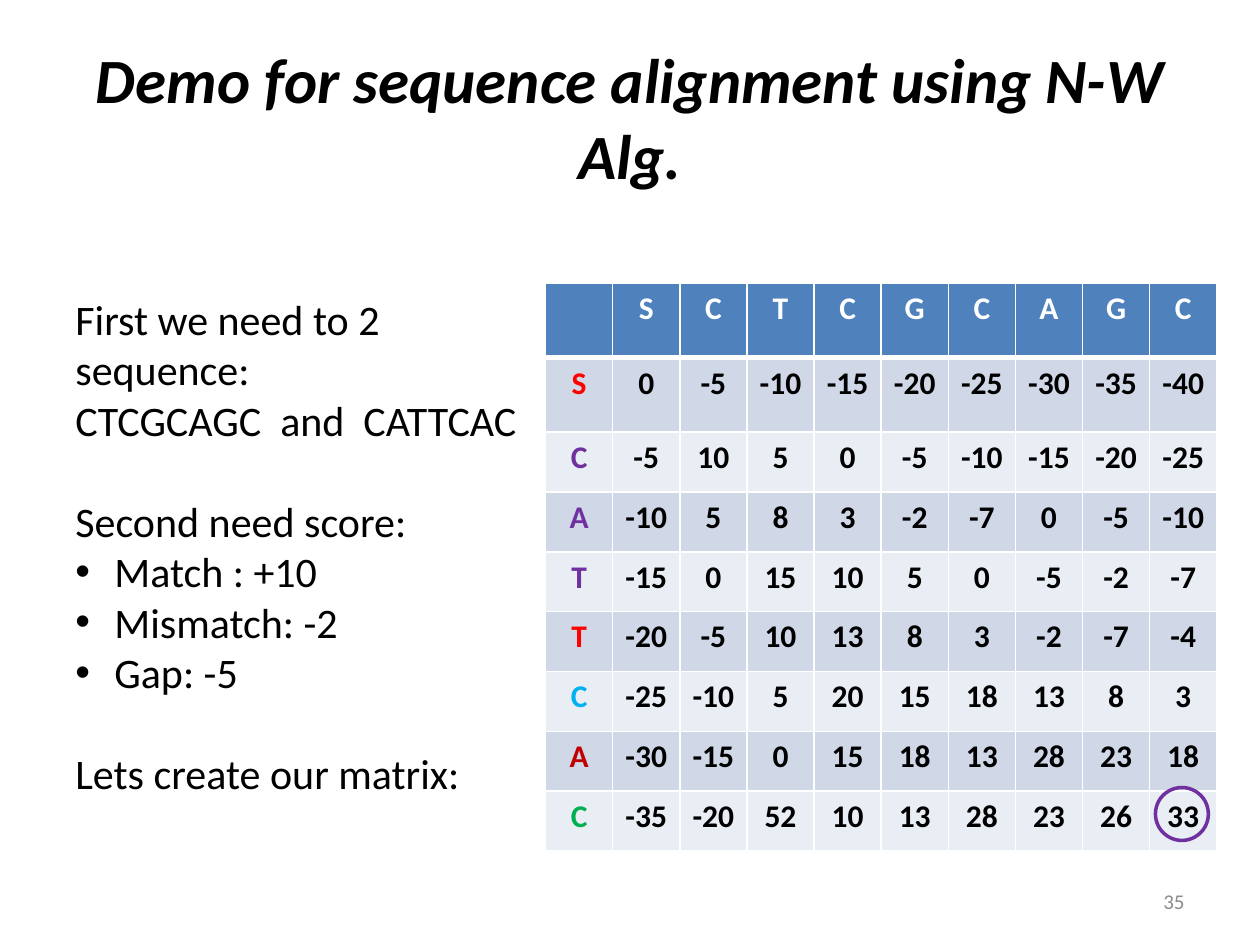
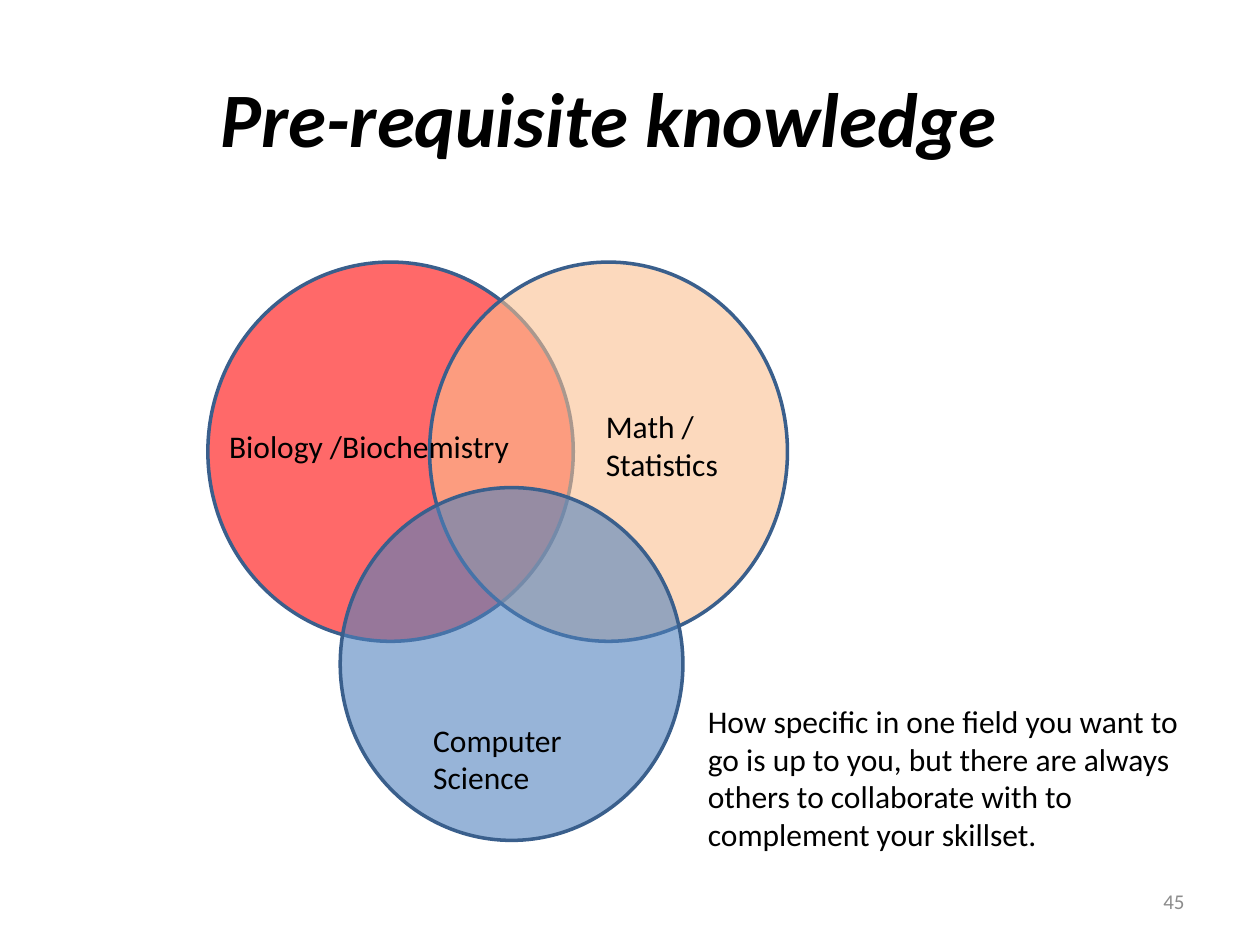
from dataclasses import dataclass
from itertools import product

from lxml.etree import SubElement
from pptx import Presentation
from pptx.dml.color import RGBColor as RGB
from pptx.enum.shapes import MSO_SHAPE as SHAPE
from pptx.enum.text import MSO_ANCHOR as ANCHOR, PP_ALIGN as ALIGN
from pptx.oxml.ns import qn
from pptx.util import Pt

PX = 914400 // 200  # EMU in one px, at 200 px to the inch


@dataclass(frozen=True)
class Theme:
    font: str = "Calibri"
    text: str = "000000"
    white: str = "FFFFFF"
    muted: str = "8C8C8C"
    blue: str = "4F81BD"
    outline: str = "3A5F8C"
    red: str = "FF0000"
    peach: str = "FAC090"
    purple: str = "7030A0"
    sky: str = "00B0F0"
    dark_red: str = "C00000"
    green: str = "00B050"
    bands: tuple = ("D0D8E8", "E9EDF4")
    body: int = 24
    label: int = 18
    small: int = 12


T = Theme()


def write(tf, text, size, color=T.text, align=None, bold=None, italic=None):
    """Fill a text frame and give all its runs one format."""
    tf.text = text
    tf.word_wrap = True
    for p in tf.paragraphs:
        p.alignment = align
        for r in p.runs:
            r.font.name, r.font.size = T.font, Pt(size)
            r.font.bold, r.font.italic = bold, italic
            r.font.color.rgb = RGB.from_string(color)


def add_ellipse(s, box, line, fill=None):
    """Add an outlined ellipse, see-through if it has a fill."""
    sp = s.shapes.add_shape(SHAPE.OVAL, *(v * PX for v in box))
    sp.shadow.inherit = False
    sp.line.color.rgb = RGB.from_string(line)
    sp.line.width = Pt(2)
    if fill is None:
        sp.fill.background()
        return
    sp.fill.solid()
    sp.fill.fore_color.rgb = RGB.from_string(fill)
    color = sp.fill._xPr.find(qn("a:solidFill")).find(qn("a:srgbClr"))
    SubElement(color, qn("a:alpha"), val="59000")


prs = Presentation()
prs.slide_width, prs.slide_height = 2000 * PX, 1500 * PX

# Shared title and slide number
slides = []
for title, size, number in (
    ("Demo for sequence alignment using N-W Alg.", 36, "35"),
    ("Pre-requisite knowledge\t", 44, "45"),
):
    s = prs.slides.add_slide(prs.slide_layouts[5])
    sp = s.shapes.title
    sp.left, sp.top, sp.width, sp.height = (v * PX for v in (100, 60, 1800, 250))
    write(sp.text_frame, title, size, align=ALIGN.CENTER, bold=True, italic=True)
    sp.text_frame.vertical_anchor = ANCHOR.MIDDLE
    sp = s.shapes.add_textbox(1434 * PX, 1390 * PX, 466 * PX, 80 * PX)
    write(sp.text_frame, number, T.small, T.muted, ALIGN.RIGHT)
    sp.text_frame.vertical_anchor = ANCHOR.MIDDLE
    slides.append(s)
alignment, knowledge = slides

# Score matrix
top_sequence = " SCTCGCAGC"
matrix = (
    ("S", T.red, (0, -5, -10, -15, -20, -25, -30, -35, -40)),
    ("C", T.purple, (-5, 10, 5, 0, -5, -10, -15, -20, -25)),
    ("A", T.purple, (-10, 5, 8, 3, -2, -7, 0, -5, -10)),
    ("T", T.purple, (-15, 0, 15, 10, 5, 0, -5, -2, -7)),
    ("T", T.red, (-20, -5, 10, 13, 8, 3, -2, -7, -4)),
    ("C", T.sky, (-25, -10, 5, 20, 15, 18, 13, 8, 3)),
    ("A", T.dark_red, (-30, -15, 0, 15, 18, 13, 28, 23, 18)),
    ("C", T.green, (-35, -20, 52, 10, 13, 28, 23, 26, 33)),
)
rows = [[(c.strip(), T.white) for c in top_sequence]]
for letter, color, scores in matrix:
    rows.append([(letter, color)] + [(str(v), T.text) for v in scores])

heights = [118] * 2 + [95] * 7
table = alignment.shapes.add_table(
    len(rows), len(top_sequence), 866 * PX, 450 * PX, 1066 * PX, sum(heights) * PX
).table
table.horz_banding = False
for col in table.columns:
    col.width = 1066 * PX // len(top_sequence)
for row, height in zip(table.rows, heights):
    row.height = height * PX

for i, j in product(range(len(rows)), range(len(top_sequence))):
    cell = table.cell(i, j)
    text, color = rows[i][j]
    cell.margin_left = cell.margin_right = 6 * PX
    write(cell.text_frame, text, T.label, color, ALIGN.CENTER, bold=True)
    tcPr = cell._tc.get_or_add_tcPr()
    for side in "LRTB":
        below_header = (i, side) in ((0, "B"), (1, "T"))
        width = Pt(3 if below_header else 1)
        ln = SubElement(tcPr, qn(f"a:ln{side}"), w=str(width))
        SubElement(SubElement(ln, qn("a:solidFill")), qn("a:srgbClr"), val=T.white)
    cell.fill.solid()
    fill = T.bands[(i - 1) % 2] if i else T.blue
    cell.fill.fore_color.rgb = RGB.from_string(fill)

# Steps beside the matrix
steps = (
    "First we need to 2 sequence:",
    "CTCGCAGC  and  CATTCAC",
    "Second need score:",
    "Match : +10",
    "Mismatch: -2",
    "Gap: -5",
    "Lets create our matrix:",
)
sp = alignment.shapes.add_textbox(100 * PX, 456 * PX, 766 * PX, 828 * PX)
write(sp.text_frame, "\n".join(steps), T.body)
paragraphs = sp.text_frame.paragraphs
for p in (paragraphs[2], paragraphs[6]):
    p.space_before = Pt(29)
for p in paragraphs[3:6]:
    pPr = p._p.get_or_add_pPr()
    pPr.set("marL", str(62 * PX))
    pPr.set("indent", str(-62 * PX))
    SubElement(pPr, qn("a:buFont"), typeface="Arial")
    SubElement(pPr, qn("a:buChar"), char="•")

add_ellipse(alignment, (1834, 1250, 84, 84), T.purple)

# Overlapping fields of knowledge
for box, fill in (
    ((330, 416, 580, 602), T.red),
    ((682, 416, 568, 602), T.peach),
    ((540, 774, 544, 560), T.blue),
):
    add_ellipse(knowledge, box, T.outline, fill)

for box, text in (
    ((344, 668, 598, 80), "Biology /Biochemistry"),
    ((942, 636, 292, 142), "Math / Statistics"),
    ((668, 1134, 332, 142), "Computer Science"),
    ((1104, 1104, 828, 262),
     "How specific in one field you want to go is up to you, but there are "
     "always others to collaborate with to complement your skillset."),
):
    sp = knowledge.shapes.add_textbox(*(v * PX for v in box))
    write(sp.text_frame, text, T.label)

prs.save("out.pptx")
